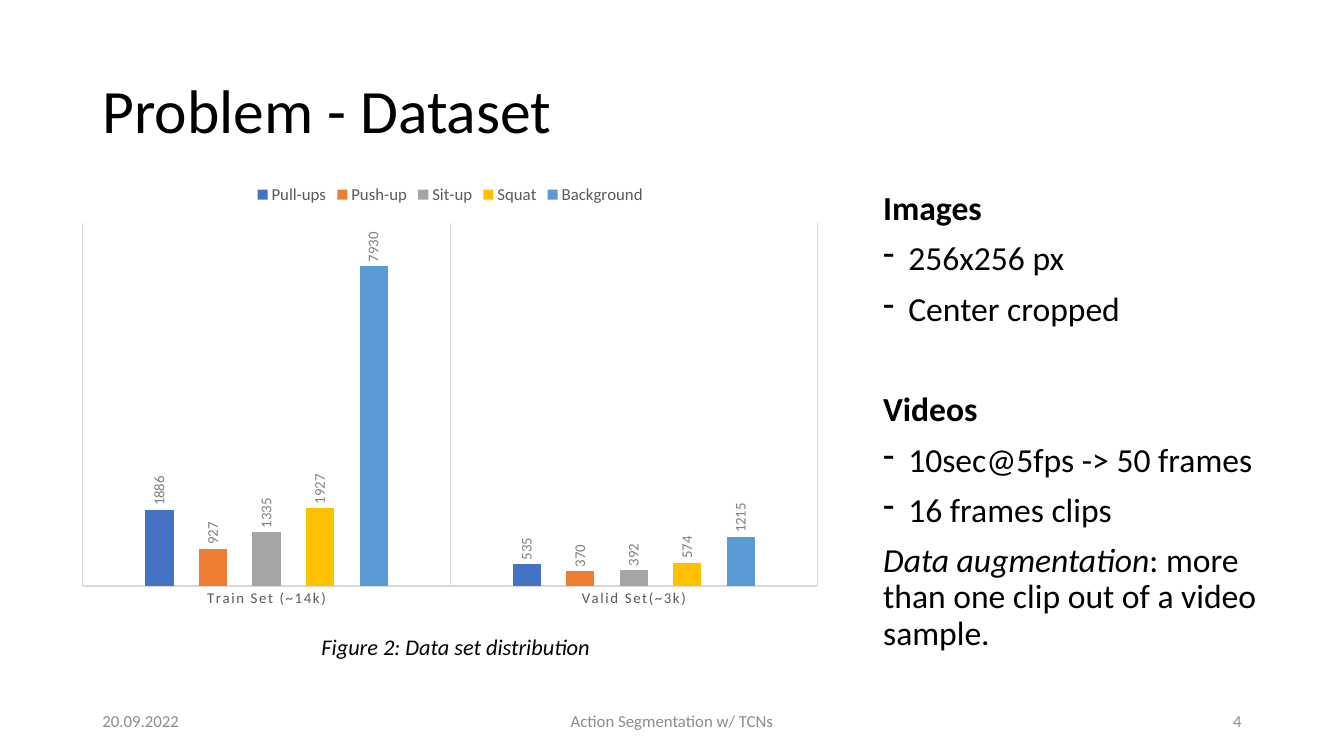
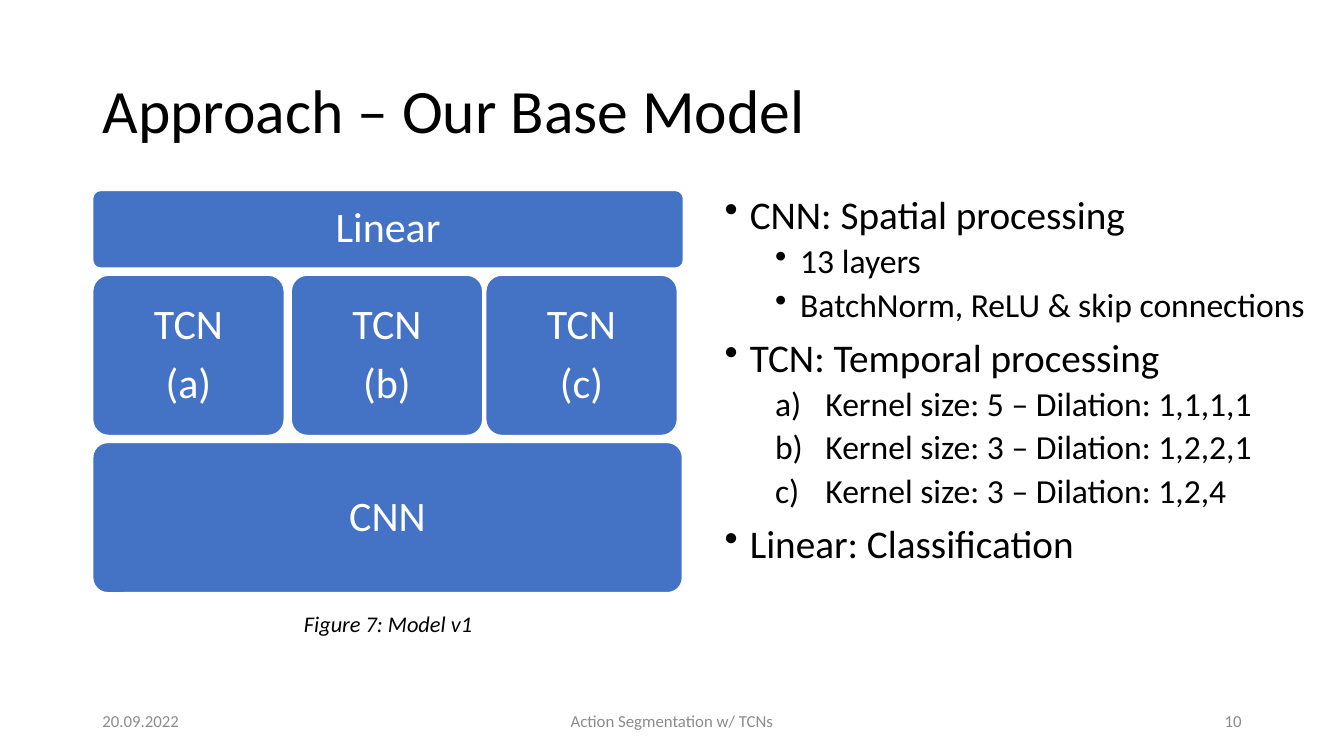
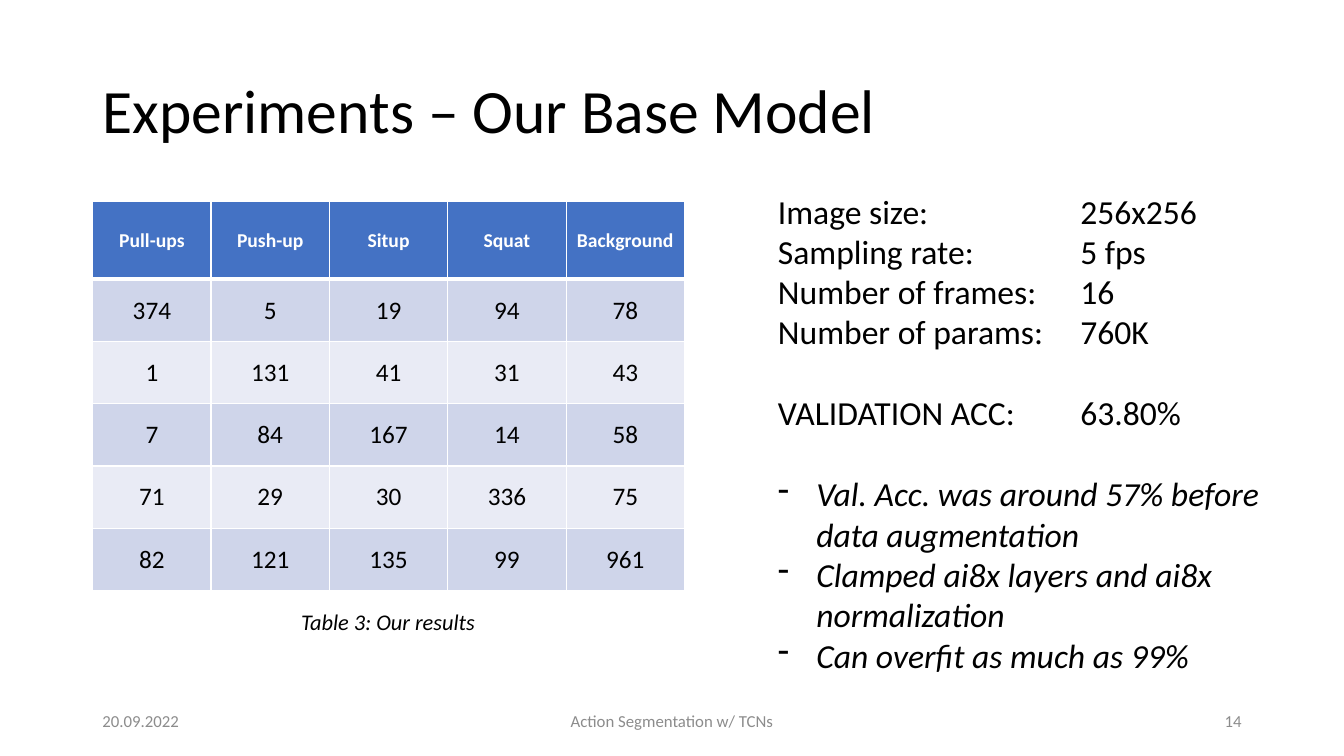
"""Build three slides on action segmentation: data set, base model and results."""
from dataclasses import dataclass
from typing import Any

import pptx
import pptx.chart.data
import pptx.dml.color
import pptx.enum.chart
import pptx.enum.shapes
import pptx.enum.text
import pptx.oxml
import pptx.oxml.ns
import pptx.util

RGB = pptx.dml.color.RGBColor
BLACK = RGB(0x00, 0x00, 0x00)
WHITE = RGB(0xFF, 0xFF, 0xFF)
BLUE = RGB(0x44, 0x72, 0xC4)
ORANGE = RGB(0xED, 0x7D, 0x31)
GREY = RGB(0xA5, 0xA5, 0xA5)
YELLOW = RGB(0xFF, 0xC0, 0x00)
SKY = RGB(0x5B, 0x9B, 0xD5)
AXIS_LINE = RGB(0xD9, 0xD9, 0xD9)
AXIS_TEXT = RGB(0x59, 0x59, 0x59)
LABEL_TEXT = RGB(0x80, 0x80, 0x80)
FOOTER_TEXT = RGB(0x8C, 0x8C, 0x8C)
BAND_DARK = RGB(0xCF, 0xD5, 0xEA)
BAND_LIGHT = RGB(0xE9, 0xEB, 0xF5)

FONT = "Calibri"
SLIDE_WIDTH = pptx.util.Inches(13.333)
SLIDE_HEIGHT = pptx.util.Inches(7.5)
ALIGN = pptx.enum.text.PP_ALIGN
ANCHOR = pptx.enum.text.MSO_ANCHOR
qn = pptx.oxml.ns.qn
Pt = pptx.util.Pt
Inches = pptx.util.Inches


@dataclass(frozen=True)
class Area:
    """A rectangle in percent of the slide's width and height."""

    left: float
    top: float
    width: float
    height: float

    def emu(self) -> tuple[int, int, int, int]:
        """Return left, top, width and height in EMU."""
        return (
            round(self.left * SLIDE_WIDTH / 100),
            round(self.top * SLIDE_HEIGHT / 100),
            round(self.width * SLIDE_WIDTH / 100),
            round(self.height * SLIDE_HEIGHT / 100),
        )


@dataclass(frozen=True)
class Span:
    """A run of text with one emphasis."""

    text: str
    bold: bool = False
    italic: bool = False


@dataclass(frozen=True)
class Line:
    """A paragraph with its spacing, bullet and tab stop."""

    spans: tuple[Span, ...]
    size: float = 24
    before: float = 0
    spacing: float = 1.0
    color: RGB = BLACK
    align: ALIGN = ALIGN.LEFT
    bullet: str = ""
    margin: float = 0
    hang: float = 0
    tab: float = 0


@dataclass(frozen=True)
class Footer:
    """A footer slot."""

    left: float
    width: float
    align: ALIGN


@dataclass(frozen=True)
class Block:
    """A layer of the model."""

    area: Area
    labels: tuple[str, ...]


TITLE_AREA = Area(6.88, 5.32, 86.25, 19.33)
FOOTERS = (
    Footer(6.88, 22.5, ALIGN.LEFT),
    Footer(33.13, 33.75, ALIGN.CENTER),
    Footer(70.63, 22.5, ALIGN.RIGHT),
)
DATE = "20.09.2022"
TALK = "Action Segmentation w/ TCNs"

CATEGORIES = ("Train Set (~14k)", "Valid Set(~3k)")
SERIES = (
    ("Pull-ups", (1886, 535), BLUE),
    ("Push-up", (927, 370), ORANGE),
    ("Sit-up", (1335, 392), GREY),
    ("Squat", (1927, 574), YELLOW),
    ("Background", (7930, 1215), SKY),
)
RESULT_HEAD = ("Pull-ups", "Push-up", "Situp", "Squat", "Background")
RESULT_ROWS = (
    (374, 5, 19, 94, 78),
    (1, 131, 41, 31, 43),
    (7, 84, 167, 14, 58),
    (71, 29, 30, 336, 75),
    (82, 121, 135, 99, 961),
)


def apply(target: Any, formats: dict[str, Any]) -> None:
    """Set every attribute named in the format values."""
    for name, value in formats.items():
        setattr(target, name, value)


def style_font(font: Any, size: float, color: RGB, bold: bool = False, italic: bool = False) -> None:
    """Give a font the deck's typeface and the wanted look."""
    apply(font, {"name": FONT, "size": Pt(size), "bold": bold, "italic": italic})
    font.color.rgb = color


def add_child(parent: Any, tag: str, **attributes: str) -> Any:
    """Append an XML element with attributes and return it."""
    child = parent.makeelement(qn(tag), attributes)
    parent.append(child)
    return child


def format_indent(para: Any, line: Line) -> None:
    """Set the bullet, the indent and the tab stop of a paragraph."""
    props = para._p.get_or_add_pPr()
    if line.bullet:
        props.set("marL", str(Inches(line.margin)))
        props.set("indent", str(-Inches(line.hang)))
        if line.bullet == "a)":
            add_child(props, "a:buAutoNum", type="alphaLcParenR")
        else:
            add_child(props, "a:buChar", char=line.bullet)
    if line.tab:
        stops = add_child(props, "a:tabLst")
        add_child(stops, "a:tab", pos=str(Inches(line.tab)), algn="l")


def fill_frame(frame: Any, lines: list[Line], anchor: ANCHOR = ANCHOR.TOP) -> None:
    """Write paragraphs into a text frame."""
    apply(frame, {"word_wrap": True, "vertical_anchor": anchor,
                  "auto_size": pptx.enum.text.MSO_AUTO_SIZE.NONE})
    for index, line in enumerate(lines):
        para = frame.add_paragraph() if index else frame.paragraphs[0]
        format_indent(para, line)
        apply(para, {"alignment": line.align, "line_spacing": line.spacing,
                     "space_before": Pt(line.before if index else 0)})
        for part in line.spans:
            span = para.add_run()
            span.text = part.text
            style_font(span.font, line.size, line.color, part.bold, part.italic)


def add_text(page: Any, area: Area, lines: list[Line], anchor: ANCHOR = ANCHOR.TOP) -> None:
    """Add a text box."""
    box = page.shapes.add_textbox(*area.emu())
    fill_frame(box.text_frame, lines, anchor)


def add_caption(page: Any, area: Area, text: str, align: ALIGN = ALIGN.CENTER) -> None:
    """Add an italic caption below a figure or table."""
    add_text(page, area, [Line((Span(text, italic=True),), 16, align=align)])


def add_page(deck: Any, title: str, number: int) -> Any:
    """Add a slide with its title and footers."""
    page = deck.slides.add_slide(deck.slide_layouts[5])
    box = page.shapes.title
    apply(box, dict(zip(("left", "top", "width", "height"), TITLE_AREA.emu())))
    fill_frame(box.text_frame, [Line((Span(title),), 44, spacing=0.9)], ANCHOR.MIDDLE)
    for slot, text in zip(FOOTERS, (DATE, TALK, str(number))):
        line = Line((Span(text),), 12, color=FOOTER_TEXT, align=slot.align)
        add_text(page, Area(slot.left, 92.67, slot.width, 5.32), [line], ANCHOR.MIDDLE)
    return page


def place_plot(chart: Any, left: float, top: float, width: float, height: float) -> None:
    """Fix the inner plot area as shares of the chart."""
    plot_area = chart._chartSpace.chart.plotArea
    for old in plot_area.findall(qn("c:layout")):
        plot_area.remove(old)
    layout = plot_area.makeelement(qn("c:layout"), {})
    plot_area.insert(0, layout)
    manual = add_child(layout, "c:manualLayout")
    values = {"layoutTarget": "inner", "xMode": "edge", "yMode": "edge",
              "x": left, "y": top, "w": width, "h": height}
    for name, value in values.items():
        add_child(manual, f"c:{name}", val=str(value))


def add_distribution_chart(page: Any, area: Area) -> None:
    """Add the clustered column chart of the data set."""
    data = pptx.chart.data.CategoryChartData()
    data.categories = CATEGORIES
    for name, values, _ in SERIES:
        data.add_series(name, values)
    kind = pptx.enum.chart.XL_CHART_TYPE.COLUMN_CLUSTERED
    chart = page.shapes.add_chart(kind, *area.emu(), data).chart
    style_font(chart.font, 10, BLACK)
    apply(chart, {"has_title": False, "has_legend": True})
    apply(chart.legend, {"position": pptx.enum.chart.XL_LEGEND_POSITION.TOP,
                         "include_in_layout": False})
    style_font(chart.legend.font, 12, AXIS_TEXT)
    place_plot(chart, 0.02, 0.11, 0.96, 0.8)

    apply(chart.value_axis, {"visible": False, "has_major_gridlines": False,
                             "minimum_scale": 0, "maximum_scale": 9000})
    axis = chart.category_axis
    apply(axis, {"has_major_gridlines": True,
                 "major_tick_mark": pptx.enum.chart.XL_TICK_MARK.NONE})
    for rule in (axis.format.line, axis.major_gridlines.format.line):
        rule.width = Pt(0.75)
        rule.color.rgb = AXIS_LINE
    style_font(axis.tick_labels.font, 10.6, AXIS_TEXT)
    axis._element.find(f".//{qn('a:defRPr')}").set("spc", "120")

    plot = chart.plots[0]
    apply(plot, {"gap_width": 444, "overlap": -90, "vary_by_categories": False})
    for series, (_, _, color) in zip(plot.series, SERIES):
        series.format.fill.solid()
        series.format.fill.fore_color.rgb = color
        labels = series.data_labels
        apply(labels, {"show_value": True,
                       "position": pptx.enum.chart.XL_LABEL_POSITION.OUTSIDE_END})
        style_font(labels.font, 10.6, LABEL_TEXT)
        body = labels._element.find(f".//{qn('a:bodyPr')}")
        body.set("rot", "-5400000")
        body.set("vert", "horz")


def add_block(page: Any, block: Block) -> None:
    """Add a rounded layer of the model."""
    kind = pptx.enum.shapes.MSO_SHAPE.ROUNDED_RECTANGLE
    box = page.shapes.add_shape(kind, *block.area.emu())
    box.adjustments[0] = 0.1
    box.shadow.inherit = False
    box.fill.solid()
    box.fill.fore_color.rgb = BLUE
    box.line.color.rgb = WHITE
    box.line.width = Pt(1)
    fill_frame(box.text_frame, [
        Line((Span(label),), 30, 10, 0.9, WHITE, ALIGN.CENTER) for label in block.labels
    ], ANCHOR.MIDDLE)


def add_borders(cell: Any, top: float, bottom: float) -> None:
    """Draw white borders around a cell."""
    props = cell._tc.get_or_add_tcPr()
    for side, width in (("L", 1), ("R", 1), ("T", top), ("B", bottom)):
        border = add_child(props, f"a:ln{side}", w=str(Pt(width)))
        add_child(add_child(border, "a:solidFill"), "a:srgbClr", val=str(WHITE))


def add_results_table(page: Any, area: Area, head_height: float) -> None:
    """Add the confusion matrix with a header and banded rows."""
    rows = (RESULT_HEAD, *RESULT_ROWS)
    table = page.shapes.add_table(len(rows), len(RESULT_HEAD), *area.emu()).table
    row_height = (area.height - head_height) / len(RESULT_ROWS)
    for index, values in enumerate(rows):
        head = index == 0
        share = head_height if head else row_height
        table.rows[index].height = round(share * SLIDE_HEIGHT / 100)
        fill = BLUE if head else BAND_DARK if index % 2 else BAND_LIGHT
        for column, value in enumerate(values):
            cell = table.cell(index, column)
            add_borders(cell, 3 if index == 1 else 1, 3 if head else 1)
            cell.fill.solid()
            cell.fill.fore_color.rgb = fill
            cell.vertical_anchor = ANCHOR.MIDDLE
            para = cell.text_frame.paragraphs[0]
            para.alignment = ALIGN.CENTER
            span = para.add_run()
            span.text = str(value)
            style_font(span.font, 14 if head else 18, WHITE if head else BLACK, head)


def build_dataset(deck: Any) -> None:
    """Build the data set slide."""
    page = add_page(deck, "Problem - Dataset", 4)
    add_distribution_chart(page, Area(5.03, 22.93, 56.94, 60))
    add_caption(page, Area(23.18, 83.07, 22.5, 4.93), "Figure 2: Data set distribution", ALIGN.LEFT)

    def heading(text: str) -> Line:
        return Line((Span(text, bold=True),), before=46, spacing=0.9)

    def dash(text: str) -> Line:
        return Line((Span(text),), before=10, spacing=0.9, bullet="-", margin=0.25, hang=0.25)

    augmentation = (Span("Data augmentation", italic=True),
                    Span(": more than one clip out of a video sample."))
    add_text(page, Area(64.97, 24.67, 29.33, 63.47), [
        heading("Images"),
        dash("256x256 px"),
        dash("Center cropped"),
        heading("Videos"),
        dash("10sec@5fps -> 50 frames"),
        dash("16 frames clips"),
        Line(augmentation, before=10, spacing=0.9),
    ])


def build_model(deck: Any) -> None:
    """Build the base model slide."""
    page = add_page(deck, "Approach – Our Base Model", 10)
    left, top, gap = 6.9, 25.2, 0.93
    linear, middle, bottom = 10.27, 21.2, 19.87
    tcn_top = top + linear + gap
    add_block(page, Block(Area(left, top, 43.95, linear), ("Linear",)))
    add_block(page, Block(Area(left, tcn_top + middle + gap, 43.88, bottom), ("CNN",)))
    for letter, offset in zip("abc", (0, 14.77, 29.25)):
        add_block(page, Block(Area(left + offset, tcn_top, 14.25, middle), ("TCN", f"({letter})")))
    add_caption(page, Area(18.45, 80, 20.85, 4.93), "Figure 7: Model v1")

    def point(text: str) -> Line:
        return Line((Span(text),), 28, 10, 0.9, bullet="•", margin=0.25, hang=0.25)

    def detail(text: str, bullet: str, margin: float, hang: float) -> Line:
        return Line((Span(text),), 24, 5, 0.9, bullet=bullet, margin=margin, hang=hang)

    kernels = ((5, "1,1,1,1"), (3, "1,2,2,1"), (3, "1,2,4"))
    add_text(page, Area(53.18, 25.2, 45.45, 54.8), [
        point("CNN: Spatial processing"),
        *(detail(text, "•", 0.75, 0.25)
          for text in ("13 layers", "BatchNorm, ReLU & skip connections")),
        point("TCN: Temporal processing"),
        *(detail(f"Kernel size: {size} – Dilation: {dilation}", "a)", 1, 0.5)
          for size, dilation in kernels),
        point("Linear: Classification"),
    ])


def build_results(deck: Any) -> None:
    """Build the results slide."""
    page = add_page(deck, "Experiments – Our Base Model", 14)
    add_results_table(page, Area(6.9, 26.67, 44.03, 51.47), 10.27)
    add_caption(page, Area(18.45, 79.73, 20.85, 4.93), "Table 3: Our results")
    settings = (("Image size:", "256x256", 0), ("Sampling rate:", "5 fps", 0),
                ("Number of frames:", "16", 0), ("Number of params:", "760K", 0),
                ("VALIDATION ACC:", "63.80%", 29))
    remarks = (("Val. Acc. was around 57% before data augmentation", 29),
               ("Clamped ai8x layers and ai8x normalization", 0),
               ("Can overfit as much as 99%", 0))
    add_text(page, Area(57.15, 24.53, 39.75, 66), [
        *(Line((Span(f"{name}\t{value}"),), before=before, tab=3)
          for name, value, before in settings),
        *(Line((Span(text, italic=True),), before=before, bullet="-", margin=0.38, hang=0.38)
          for text, before in remarks),
    ])


def main() -> None:
    """Build and save the deck."""
    deck = pptx.Presentation()
    apply(deck, {"slide_width": SLIDE_WIDTH, "slide_height": SLIDE_HEIGHT})
    for build in (build_dataset, build_model, build_results):
        build(deck)
    deck.save("out.pptx")


if __name__ == "__main__":
    main()
